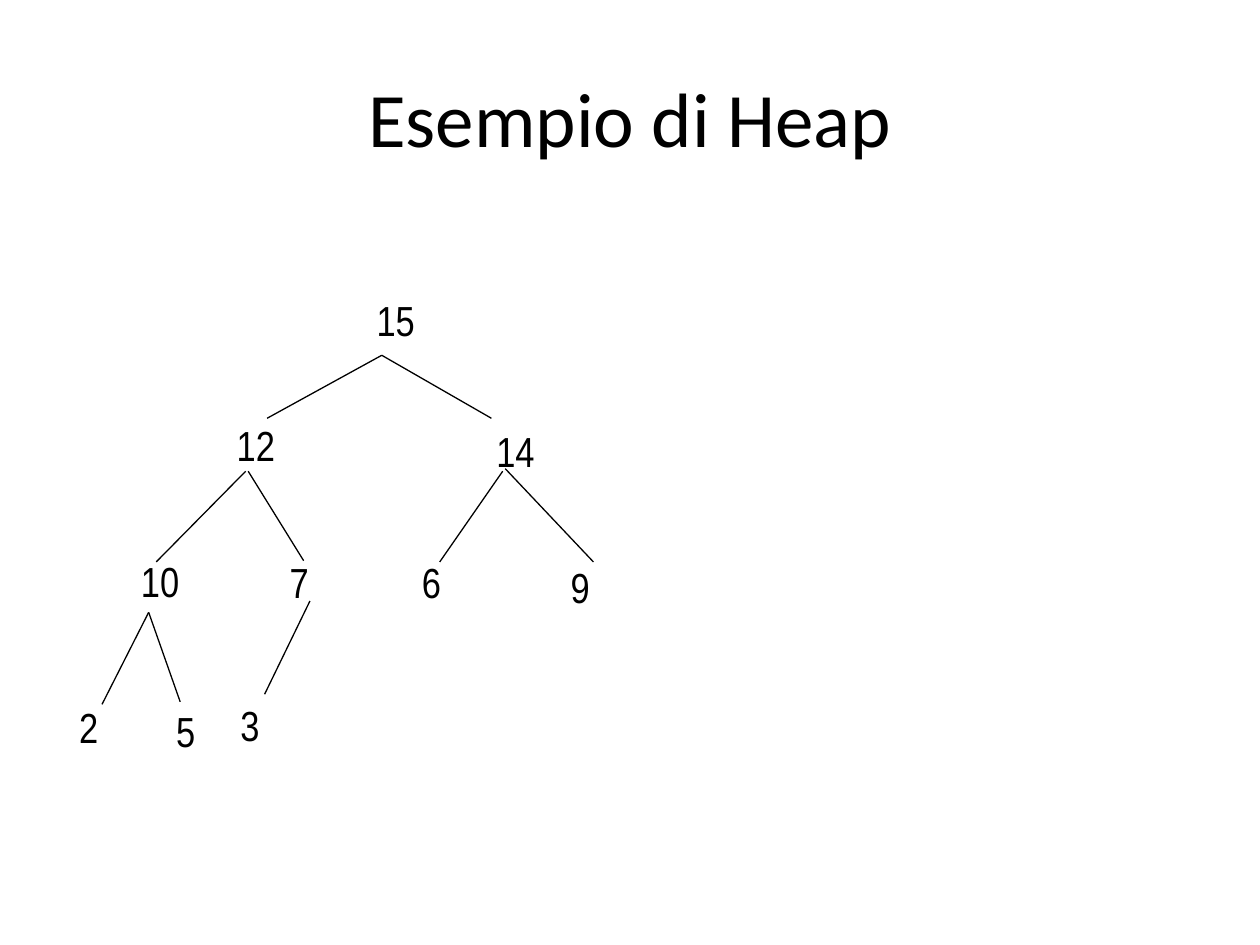
"""Build a slide that shows a heap as a binary tree."""
from pptx import Presentation
from pptx.dml.color import RGBColor
from pptx.enum.shapes import MSO_CONNECTOR
from pptx.enum.text import MSO_ANCHOR, MSO_AUTO_SIZE, PP_ALIGN
from pptx.oxml.ns import qn
from pptx.util import Inches, Pt
from lxml.etree import SubElement

TITLE = "Esempio di Heap"
COLORS = {"ink": "000000"}
NODES = [
    ("15", 2.89, 2.29),
    ("12", 1.78, 3.28), ("14", 3.84, 3.33),
    ("10", 1.02, 4.36), ("7", 2.2, 4.37), ("6", 3.25, 4.37), ("9", 4.43, 4.41),
    ("2", 0.53, 5.52), ("5", 1.3, 5.55), ("3", 1.81, 5.5),
]
EDGES = [
    (3.03, 2.82, 2.12, 3.32), (3.03, 2.82, 3.9, 3.32),
    (1.95, 3.74, 1.24, 4.46), (1.97, 3.74, 2.41, 4.45),
    (3.99, 3.74, 3.49, 4.46), (4.01, 3.72, 4.71, 4.46),
    (1.18, 4.86, 0.81, 5.59), (1.18, 4.86, 1.43, 5.57),
    (2.46, 4.77, 2.1, 5.51),
]
NODE_WIDTHS = {1: 0.35, 2: 0.51}
NODE_HEIGHT = 0.5
INK = RGBColor.from_string(COLORS["ink"])


def style(p, font, size):
    p.font.name = font
    p.font.size = Pt(size)
    p.font.color.rgb = INK


def add_node(s, key, x, y):
    box = s.shapes.add_textbox(Inches(x), Inches(y),
                               Inches(NODE_WIDTHS[len(key)]), Inches(NODE_HEIGHT))
    tf = box.text_frame
    tf.word_wrap = False
    tf.auto_size = MSO_AUTO_SIZE.SHAPE_TO_FIT_TEXT
    p = tf.paragraphs[0]
    p.text = key
    style(p, "Arial Narrow", 24)


def add_edge(s, *ends):
    line = s.shapes.add_connector(MSO_CONNECTOR.STRAIGHT, *map(Inches, ends))
    line.line.color.rgb = INK
    line.line.width = Pt(0.75)
    SubElement(line._element.spPr, qn("a:effectLst"))


prs = Presentation()
prs.slide_width, prs.slide_height = Inches(10), Inches(7.5)
s = prs.slides.add_slide(prs.slide_layouts[5])

title = s.shapes.title
title.left, title.top, title.width, title.height = map(Inches, (0.5, 0.3, 9, 1.25))
title.text_frame.vertical_anchor = MSO_ANCHOR.MIDDLE
p = title.text_frame.paragraphs[0]
p.text = TITLE
p.alignment = PP_ALIGN.CENTER
style(p, "Calibri", 44)

for node in NODES:
    add_node(s, *node)
for edge in EDGES:
    add_edge(s, *edge)

prs.save("out.pptx")
